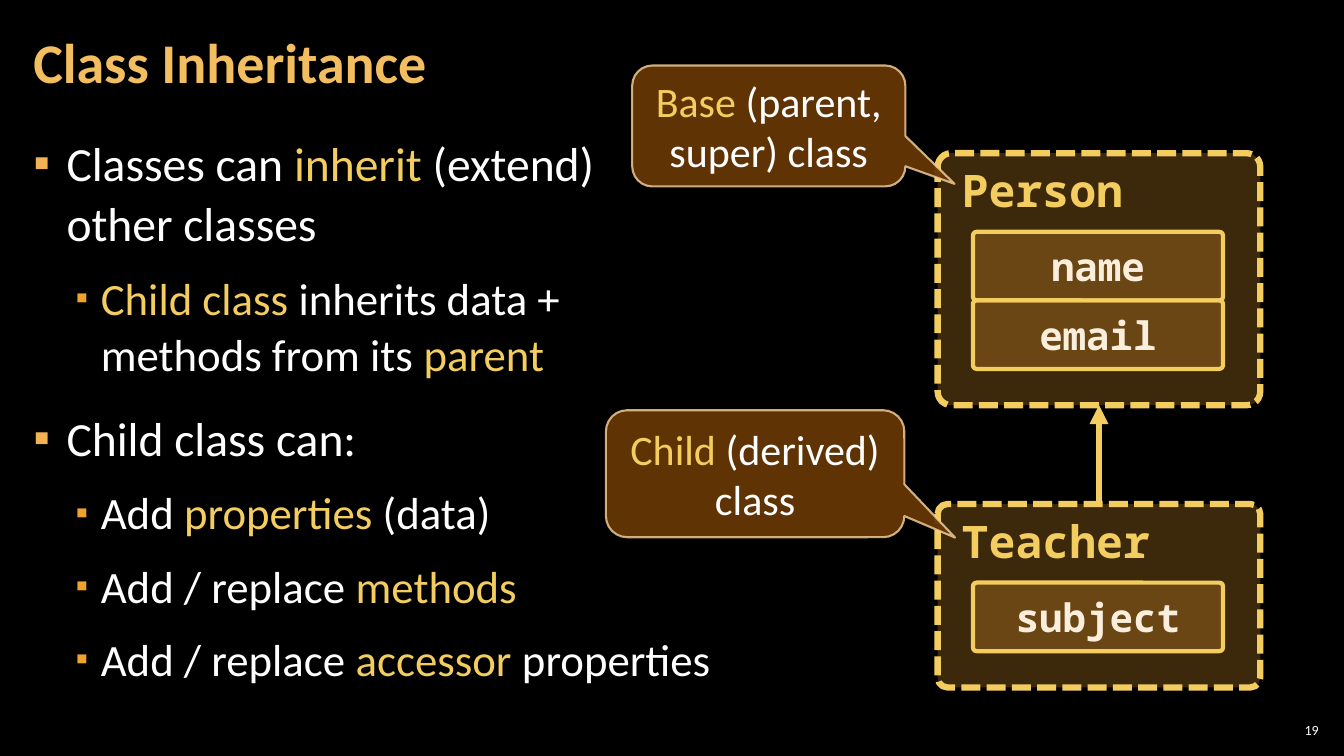
import dataclasses

import lxml.etree
import pptx
import pptx.dml.color
import pptx.enum.dml
import pptx.enum.shapes
import pptx.enum.text
import pptx.oxml.ns
import pptx.util

Inches = pptx.util.Inches
Pt = pptx.util.Pt
qn = pptx.oxml.ns.qn
SHAPE = pptx.enum.shapes.MSO_SHAPE
ALIGN = pptx.enum.text.PP_ALIGN
ANCHOR = pptx.enum.text.MSO_ANCHOR
DASH = pptx.enum.dml.MSO_LINE


@dataclasses.dataclass(frozen=True)
class Theme:
    back: str = "000000"
    text: str = "FFFFFF"
    title: str = "F3BE60"
    gold: str = "F3CD60"
    amber: str = "F0A22E"
    bullet: str = "F2B254"
    cream: str = "FBEEDC"
    brown: str = "663606"
    edge: str = "F8D49E"
    sans: str = "Calibri"
    mono: str = "Noto Sans Mono"
    head: int = 40
    main: int = 34
    sub: int = 32
    note: int = 30
    field: int = 28
    small: int = 10


THEME = Theme()
FIELD_H = 0.68


def rgb(code):
    return pptx.dml.color.RGBColor.from_string(code)


def place(shape, box):
    shape.left, shape.top, shape.width, shape.height = map(Inches, box)


def add_run(para, text, size, color, font=THEME.sans, bold=False):
    run = para.add_run()
    run.text = text
    run.font.size = Pt(size)
    run.font.name = font
    run.font.bold = bold
    run.font.color.rgb = rgb(color)


def add_mix(para, text, size):
    """Write text whose parts between bars are gold."""
    for i, part in enumerate(text.split("|")):
        if part:
            add_run(para, part, size, THEME.gold if i % 2 else THEME.text)


def set_frame(shape, side=0.1, edge=0.05, anchor=ANCHOR.TOP):
    frame = shape.text_frame
    frame.word_wrap = True
    frame.auto_size = pptx.enum.text.MSO_AUTO_SIZE.NONE
    frame.vertical_anchor = anchor
    frame.margin_left = frame.margin_right = Inches(side)
    frame.margin_top = frame.margin_bottom = Inches(edge)
    return frame


def fade(part, share):
    """Set the opacity, in percent, of the first colour in an XML part."""
    color = next(part.iter(qn("a:srgbClr")))
    lxml.etree.SubElement(color, qn("a:alpha"), val=str(share * 1000))


def add_panel(shapes, kind, box, fill, share, line, width):
    panel = shapes.add_shape(kind, *map(Inches, box))
    panel.shadow.inherit = False
    panel.fill.solid()
    panel.fill.fore_color.rgb = rgb(fill)
    fade(panel._element.spPr, share)
    panel.line.color.rgb = rgb(line)
    panel.line.width = Pt(width)
    return panel


def add_title(slide, box, text):
    title = slide.shapes.title
    place(title, box)
    para = set_frame(title, 0.12, 0.04, ANCHOR.MIDDLE).paragraphs[0]
    para.alignment = ALIGN.LEFT
    para.line_spacing = 0.9
    add_run(para, text, THEME.head, THEME.title, bold=True)


def add_bullet(para, left, hang, color, scale):
    props = para._p.get_or_add_pPr()
    props.set("marL", str(Inches(left)))
    props.set("indent", str(-Inches(hang)))
    tint = lxml.etree.SubElement(props, qn("a:buClr"))
    lxml.etree.SubElement(tint, qn("a:srgbClr"), val=color)
    lxml.etree.SubElement(props, qn("a:buSzPct"), val=str(scale * 1000))
    lxml.etree.SubElement(props, qn("a:buChar"), char="▪")


def add_body(slide, box, items):
    """Fill the body with (level, space before, text) items."""
    body = slide.placeholders[1]
    place(body, box)
    frame = set_frame(body, 0.12, 0.04)
    for i, (level, space, text) in enumerate(items):
        para = frame.add_paragraph() if i else frame.paragraphs[0]
        para.level = level
        para.line_spacing = 1.05
        para.space_before = Pt(space)
        para.space_after = Pt(6)
        if level:
            add_bullet(para, 0.67, 0.25, THEME.amber, 80)
        else:
            add_bullet(para, 0.33, 0.33, THEME.bullet, 100)
        add_mix(para, text, THEME.sub if level else THEME.main)


def add_class(slide, left, top, width, name, fields):
    """Draw a class card and return its bottom edge."""
    shapes = slide.shapes.add_group_shape().shapes
    height = 1.14 + FIELD_H * len(fields)
    card = add_panel(shapes, SHAPE.ROUNDED_RECTANGLE, (left, top, width, height),
                     THEME.amber, 25, THEME.gold, 4.5)
    card.adjustments[0] = 0.054
    card.line.dash_style = DASH.SQUARE_DOT
    label = shapes.add_textbox(*map(Inches, (left + 0.14, top + 0.05, 2.15, 0.64)))
    add_run(set_frame(label).paragraphs[0], name, THEME.sub, THEME.gold,
            THEME.mono, True)
    for i, field in enumerate(fields):
        box = (left + 0.35, top + 0.78 + i * FIELD_H, width - 0.72, FIELD_H)
        cell = add_panel(shapes, SHAPE.ROUNDED_RECTANGLE, box,
                         THEME.amber, 25, THEME.gold, 3)
        cell.adjustments[0] = 0.053
        para = set_frame(cell, anchor=ANCHOR.MIDDLE).paragraphs[0]
        para.alignment = ALIGN.CENTER
        add_run(para, field, THEME.field, THEME.cream, THEME.mono, True)
    return top + height


def add_arrow(slide, x, start, end):
    arrow = slide.shapes.add_connector(
        pptx.enum.shapes.MSO_CONNECTOR.STRAIGHT,
        *map(Inches, (x, start, x, end)))
    arrow.line.color.rgb = rgb(THEME.gold)
    arrow.line.width = Pt(4.5)
    props = arrow._element.spPr
    lxml.etree.SubElement(props.find(qn("a:ln")), qn("a:tailEnd"), type="triangle")
    lxml.etree.SubElement(props, qn("a:effectLst"))


def add_note(slide, box, tip, text):
    """Draw a callout whose tip is given as shares of its size from its centre."""
    note = add_panel(slide.shapes, SHAPE.ROUNDED_RECTANGULAR_CALLOUT, box,
                     THEME.brown, 95, THEME.edge, 1.5)
    note.adjustments[0], note.adjustments[1] = tip
    note.adjustments[2] = 0.167
    fade(note._element.spPr.find(qn("a:ln")), 80)
    para = set_frame(note, anchor=ANCHOR.MIDDLE).paragraphs[0]
    para.alignment = ALIGN.CENTER
    add_mix(para, text, THEME.note)


def add_number(slide, box, text):
    label = slide.shapes.add_textbox(*map(Inches, box))
    para = set_frame(label, 0.04, 0.04, ANCHOR.MIDDLE).paragraphs[0]
    para.alignment = ALIGN.RIGHT
    add_run(para, text, THEME.small, THEME.text)


def main():
    deck = pptx.Presentation()
    deck.slide_width, deck.slide_height = Inches(13.33), Inches(7.5)
    slide = deck.slides.add_slide(deck.slide_layouts[1])
    slide.background.fill.solid()
    slide.background.fill.fore_color.rgb = rgb(THEME.back)
    add_number(slide, (12.65, 7.14, 0.47, 0.21), "19")
    add_body(slide, (0.21, 1.26, 6.96, 6.09), [
        (0, 6, "Classes can |inherit| (extend) other classes"),
        (1, 6, "|Child class |inherits data + methods from its |parent"),
        (0, 12, "Child class can:"),
        (1, 6, "Add |properties| (data)"),
        (1, 6, "Add / replace |methods"),
        (1, 6, "Add / replace |accessor| properties"),
    ])
    add_title(slide, (0.21, 0.04, 10.47, 1.21), "Class Inheritance")
    left, width, child = 9.3, 3.2, 5
    base = add_class(slide, left, 1.52, width, "Person", ["name", "email"])
    add_class(slide, left, child, width, "Teacher", ["subject"])
    add_arrow(slide, left + width / 2, child, base)
    add_note(slide, (6.27, 0.65, 2.71, 1.2), (0.68, 0.479),
             "|Base| (parent, super) class")
    add_note(slide, (6.01, 4.07, 2.96, 1.26), (0.67, 0.503),
             "|Child| (derived) class")
    deck.save("out.pptx")


if __name__ == "__main__":
    main()
